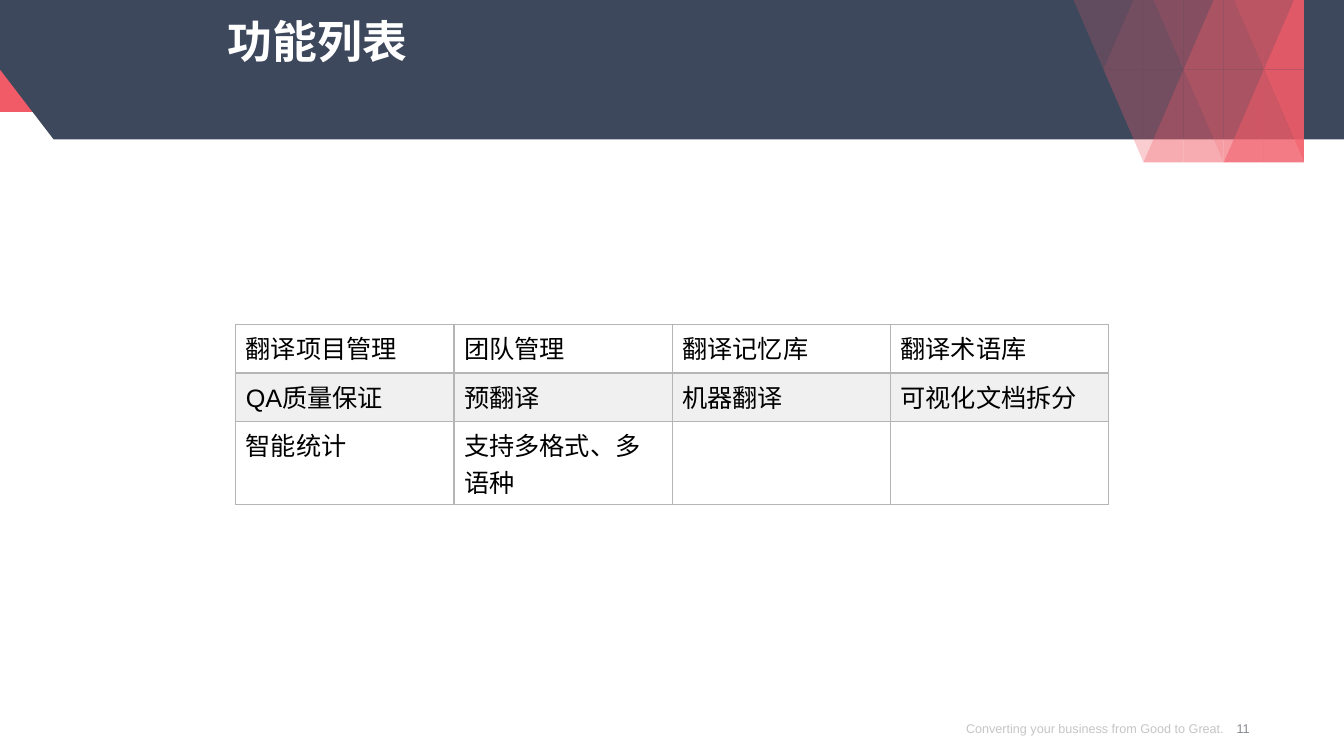
import dataclasses

import pptx
import pptx.dml.color
import pptx.enum.shapes
import pptx.enum.text
import pptx.oxml
import pptx.oxml.ns
import pptx.util
from pptx.util import Cm

ALIGN = pptx.enum.text.PP_ALIGN


@dataclasses.dataclass(frozen=True)
class Theme:
    """Hold the font, colours and type sizes of the slide."""
    font: str = "Arial"
    navy: str = "3D485D"
    coral: str = "F15B67"
    white: str = "FFFFFF"
    black: str = "000000"
    grid: str = "B5B5B5"
    footer: str = "8C8C8C"
    number: str = "85898F"
    title_size: int = 32
    table_size: int = 18
    footer_size: int = 9


THEME = Theme()
WIDTH, HEIGHT = 33.87, 19.05
FACET_LEFT, FACET_TOP = 26.8, -0.59
FACET_WIDTH, FACET_HEIGHT = 1.01, 2.34
LAST_COLUMN = 6
FACETS = [
    (1, 1, 0, 20), (2, 0, 1, 30), (3, 1, 0, 40), (4, 0, 1, 60), (5, 1, 0, 70), (6, 0, 1, 90),
    (2, 2, 1, 30), (3, 1, 2, 50), (4, 2, 1, 60), (5, 1, 2, 80), (6, 2, 1, 90),
]
FEATURES = [
    ["翻译项目管理", "团队管理", "翻译记忆库", "翻译术语库"],
    ["QA质量保证", "预翻译", "机器翻译", "可视化文档拆分"],
    ["智能统计", "支持多格式、多语种", "", ""],
]
ROW_HEIGHTS = [1.22, 1.22, 1.78]


def set_attrs(obj, values):
    """Set each attribute named in a dict."""
    for name, value in values.items():
        setattr(obj, name, value)


def paint(fill, props, color, alpha=100):
    """Give a fill a solid colour with an opacity in percent."""
    fill.solid()
    fill.fore_color.rgb = pptx.dml.color.RGBColor.from_string(color)
    if alpha < 100:
        clr = props.find(pptx.oxml.ns.qn("a:solidFill"))[0]
        clr.append(pptx.oxml.parse_xml(
            f'<a:alpha {pptx.oxml.ns.nsdecls("a")} val="{alpha * 1000}"/>'))


def finish_shape(sp, color, alpha=100):
    """Fill a shape and remove its line and shadow."""
    paint(sp.fill, sp._element.spPr, color, alpha)
    sp.line.fill.background()
    sp.shadow.inherit = False


def add_polygon(shapes, points, color, alpha=100):
    """Draw a closed outline through points in centimetres."""
    start, *rest = [(Cm(x), Cm(y)) for x, y in points]
    builder = shapes.build_freeform(*start)
    builder.add_line_segments(rest, close=True)
    finish_shape(builder.convert_to_shape(), color, alpha)


def add_run(p, text, size, color, alpha=100, bold=False):
    """Add a formatted run to a paragraph."""
    r = p.add_run()
    r.text = text
    set_attrs(r.font, {"name": THEME.font, "size": pptx.util.Pt(size), "bold": bold})
    paint(r.font.fill, r.font._element, color, alpha)


def format_frame(tf, align):
    """Remove insets, centre vertically and return the first paragraph."""
    set_attrs(tf, {
        "margin_left": 0, "margin_right": 0, "margin_top": 0, "margin_bottom": 0,
        "word_wrap": True, "auto_size": pptx.enum.text.MSO_AUTO_SIZE.NONE,
        "vertical_anchor": pptx.enum.text.MSO_ANCHOR.MIDDLE,
    })
    p = tf.paragraphs[0]
    p.alignment = align
    return p


def add_header(s):
    """Draw the coral strip and the navy band with its cut corner."""
    sp = s.shapes.add_shape(pptx.enum.shapes.MSO_SHAPE.RECTANGLE, 0, 0, Cm(WIDTH), Cm(2.82))
    finish_shape(sp, THEME.coral)
    band = [(0, 0), (WIDTH, 0), (WIDTH, 3.51), (1.35, 3.51), (0, 1.75)]
    add_polygon(s.shapes, band, THEME.navy)


def add_facets(s):
    """Draw each facet as half triangles on a regular lattice."""
    shapes = s.shapes.add_group_shape().shapes
    for column, apex, base, alpha in FACETS:
        for side in (column - 1, column + 1):
            if side <= LAST_COLUMN:
                corners = [(column, apex), (side, base), (column, base)]
                points = [(FACET_LEFT + x * FACET_WIDTH, FACET_TOP + y * FACET_HEIGHT)
                          for x, y in corners]
                add_polygon(shapes, points, THEME.coral, alpha)


def add_title(s, text):
    """Place the title placeholder in front of the header."""
    sp = s.shapes.title
    s.shapes._spTree.append(sp._element)
    set_attrs(sp, {"left": Cm(5.74), "top": Cm(0.13), "width": Cm(22), "height": Cm(1.65)})
    p = format_frame(sp.text_frame, ALIGN.LEFT)
    p.line_spacing = pptx.util.Pt(42)
    add_run(p, text, THEME.title_size, THEME.white, bold=True)


def add_footer(s, text, left, width, align, color, alpha=100):
    """Add a text box on the footer line."""
    sp = s.shapes.add_textbox(Cm(left), Cm(17.68), Cm(width), Cm(1.37))
    p = format_frame(sp.text_frame, align)
    add_run(p, text, THEME.footer_size, color, alpha)


def add_borders(cell, widths):
    """Add cell borders, with widths in points by side."""
    props = cell._tc.get_or_add_tcPr()
    for side, width in widths.items():
        props.append(pptx.oxml.parse_xml(
            f'<a:ln{side} {pptx.oxml.ns.nsdecls("a")} w="{pptx.util.Pt(width)}">'
            f'<a:solidFill><a:srgbClr val="{THEME.grid}"/></a:solidFill></a:ln{side}>'))


def add_feature_table(s):
    """Add the table of features with a shaded second row."""
    rows, cols = len(FEATURES), len(FEATURES[0])
    frame = s.shapes.add_table(rows, cols, Cm(5.94), Cm(8.18), Cm(22), Cm(sum(ROW_HEIGHTS)))
    table = frame.table
    set_attrs(table, {"first_row": False, "horz_banding": False})
    for i, texts in enumerate(FEATURES):
        table.rows[i].height = Cm(ROW_HEIGHTS[i])
        for j, text in enumerate(texts):
            cell = table.cell(i, j)
            add_borders(cell, {"L": 1, "R": 1, "T": 2 if i == 1 else 1, "B": 2 if i == 0 else 1})
            if i == 1:
                paint(cell.fill, cell._tc.tcPr, THEME.grid, 20)
            else:
                cell.fill.background()
            if text:
                add_run(cell.text_frame.paragraphs[0], text, THEME.table_size, THEME.black)


def main():
    """Build the slide and save it."""
    prs = pptx.Presentation()
    set_attrs(prs, {"slide_width": Cm(WIDTH), "slide_height": Cm(HEIGHT)})
    s = prs.slides.add_slide(prs.slide_layouts.get_by_name("Title Only"))
    add_header(s)
    add_facets(s)
    add_title(s, "功能列表")
    add_footer(s, "Converting your business from Good to Great.", 20.45, 10.39,
               ALIGN.RIGHT, THEME.footer, 50)
    add_footer(s, "11", 30.53, 1.6, ALIGN.CENTER, THEME.number)
    add_feature_table(s)
    prs.save("out.pptx")


if __name__ == "__main__":
    main()
